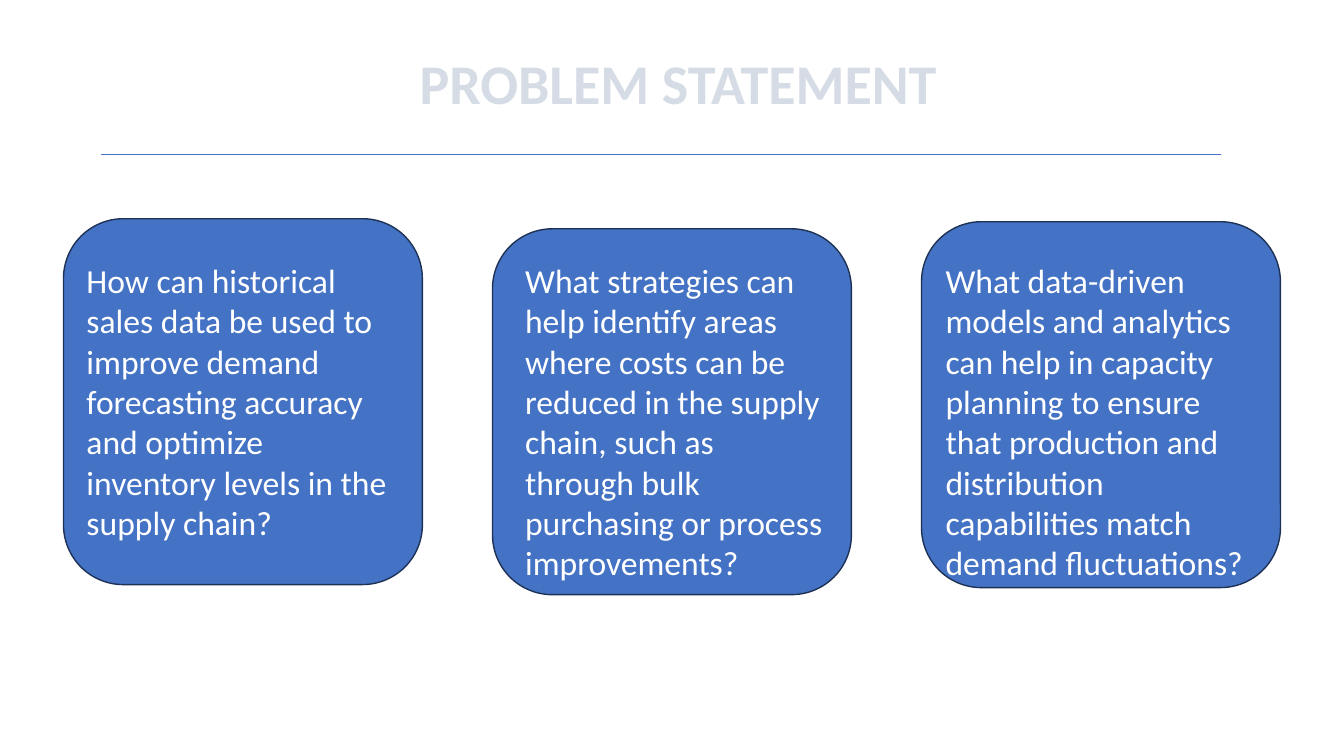
import pptx
import pptx.util
import pptx.dml.color
import pptx.enum.shapes
import pptx.enum.text
import pptx.oxml.ns
import lxml.etree

Inches = pptx.util.Inches
Pt = pptx.util.Pt


def color(hex_string):
    return pptx.dml.color.RGBColor.from_string(hex_string)


def write_text(frame, text, size, hex_string, bold=False):
    frame.word_wrap = True
    frame.auto_size = pptx.enum.text.MSO_AUTO_SIZE.NONE
    frame.vertical_anchor = pptx.enum.text.MSO_ANCHOR.TOP
    para = frame.paragraphs[0]
    para.line_spacing = 1.0
    span = para.add_run()
    span.text = text
    span.font.name = "Calibri"
    span.font.size = Pt(size)
    span.font.bold = bold
    span.font.color.rgb = color(hex_string)
    return para


deck = pptx.Presentation()
deck.slide_width = Inches(13.33)
deck.slide_height = Inches(7.5)
page = deck.slides.add_slide(deck.slide_layouts[5])

# Title
title = page.shapes.title
title.left, title.top = Inches(3.14), Inches(0.43)
title.width, title.height = Inches(7.17), Inches(0.77)
para = write_text(title.text_frame, "PROBLEM STATEMENT", 40, "D6DCE5", bold=True)
para.alignment = pptx.enum.text.PP_ALIGN.CENTER

# Rule under the title
rule = page.shapes.add_connector(
    pptx.enum.shapes.MSO_CONNECTOR.STRAIGHT,
    Inches(1), Inches(1.53), Inches(12.11), Inches(1.53))
rule.line.color.rgb = color("4472C4")
rule.line.width = Pt(0.5)
lxml.etree.SubElement(rule._element.spPr, pptx.oxml.ns.qn("a:effectLst"))

# Question cards: card top, text left, text width, text height, question
questions = [
    (2.17, 0.76, 3.3, 2.93,
     "How can historical sales data be used to improve demand forecasting "
     "accuracy and optimize inventory levels in the supply chain?"),
    (2.27, 5.11, 3.18, 3.33,
     "What strategies can help identify areas where costs can be reduced in "
     "the supply chain, such as through bulk purchasing or process improvements?"),
    (2.2, 9.28, 3.29, 3.33,
     "What data-driven models and analytics can help in capacity planning to "
     "ensure that production and distribution capabilities match demand fluctuations?"),
]
for index, (card_top, text_left, text_width, text_height, question) in enumerate(questions):
    card = page.shapes.add_shape(
        pptx.enum.shapes.MSO_SHAPE.ROUNDED_RECTANGLE,
        Inches(0.63 + 4.255 * index), Inches(card_top), Inches(3.56), Inches(3.63))
    card.shadow.inherit = False
    card.fill.solid()
    card.fill.fore_color.rgb = color("4472C4")
    card.line.color.rgb = color("1E3256")
    card.line.width = Pt(1)

    box = page.shapes.add_textbox(
        Inches(text_left), Inches(2.53), Inches(text_width), Inches(text_height))
    write_text(box.text_frame, question, 24, "FFFFFF")

deck.save("out.pptx")
